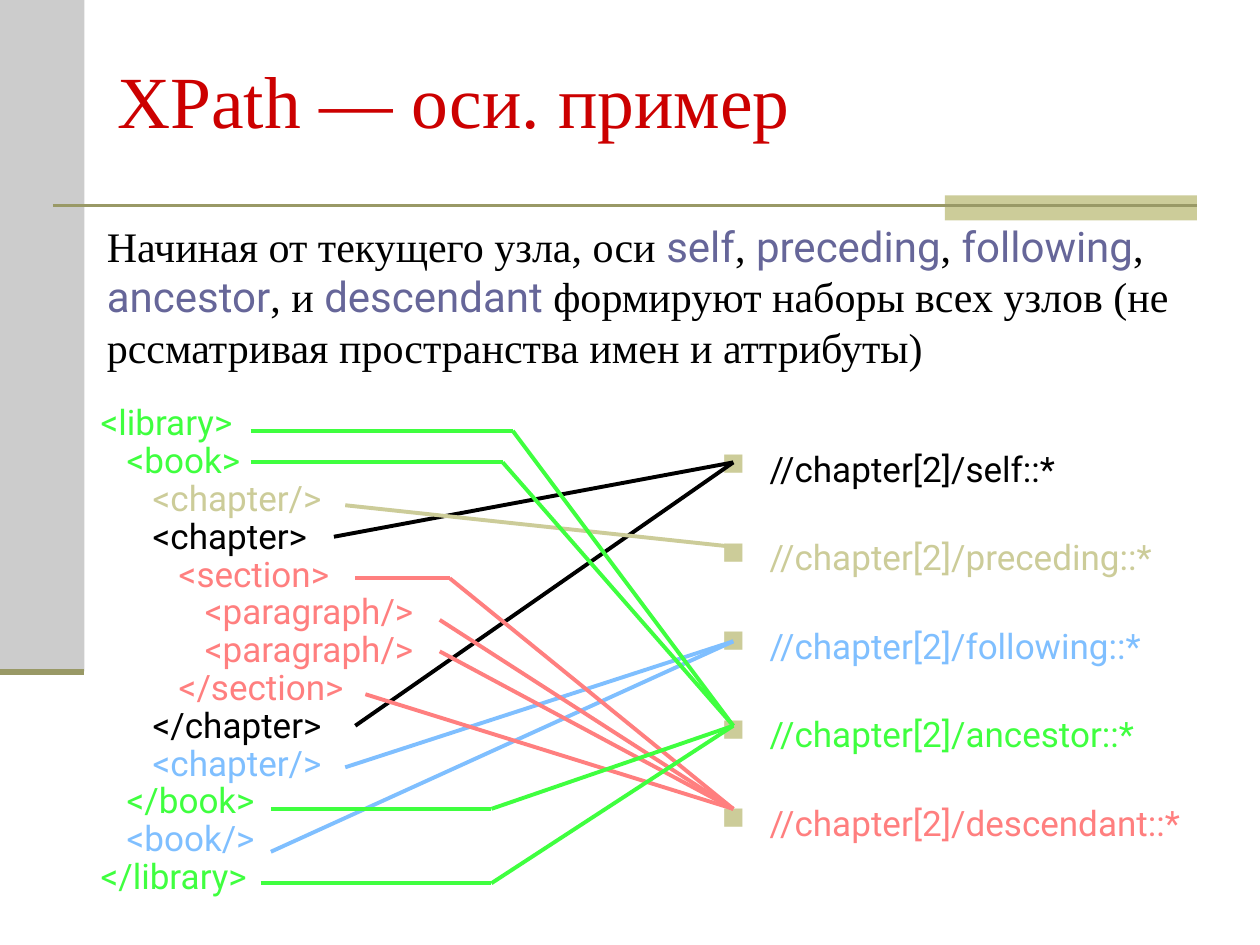
from itertools import pairwise

from lxml.etree import SubElement
from pptx import Presentation
from pptx.dml.color import RGBColor
from pptx.enum.shapes import MSO_CONNECTOR as Connector, MSO_SHAPE as Shape
from pptx.enum.text import MSO_ANCHOR as Anchor, MSO_AUTO_SIZE as AutoSize, PP_ALIGN as Align
from pptx.oxml.ns import qn
from pptx.util import Inches, Pt

RED = RGBColor(0xCC, 0x00, 0x00)
BLACK = RGBColor(0x00, 0x00, 0x00)
GRAY = RGBColor(0xCC, 0xCC, 0xCC)
SAND = RGBColor(0xCC, 0xCC, 0x99)
OLIVE = RGBColor(0x99, 0x99, 0x66)
VIOLET = RGBColor(0x66, 0x66, 0x99)
BLUE = RGBColor(0x7F, 0xBF, 0xFF)
GREEN = RGBColor(0x3F, 0xFF, 0x3F)
PINK = RGBColor(0xFF, 0x7F, 0x7F)
SERIF, SANS = "Times New Roman", "Roboto"

TITLE = "XPath — оси. пример"
INTRO = [
    ("Начиная от текущего узла, оси ", False), ("self", True), (", ", False),
    ("preceding", True), (", ", False), ("following", True), (", ", False),
    ("ancestor", True), (", и ", False), ("descendant ", True),
    ("формируют наборы всех узлов (не рссматривая пространства имен и аттрибуты)", False),
]
AXIS_COLORS = {"self": BLACK, "preceding": SAND, "following": BLUE,
               "ancestor": GREEN, "descendant": PINK}
DOCUMENT = [
    ("<library>", "ancestor"),
    ("   <book>", "ancestor"),
    ("      <chapter/>", "preceding"),
    ("      <chapter>", "self"),
    ("         <section>", "descendant"),
    ("            <paragraph/>", "descendant"),
    ("            <paragraph/>", "descendant"),
    ("         </section>", "descendant"),
    ("      </chapter>", "self"),
    ("      <chapter/>", "following"),
    ("   </book>", "ancestor"),
    ("   <book/>", "following"),
    ("</library>", "ancestor"),
]
TARGET_X = 5.82
LINKS = [
    ("self", 3.67, [[(2.65, 4.26)], [(2.82, 5.76)]]),
    ("preceding", 4.34, [[(2.74, 4.01)]]),
    ("following", 5.09, [[(2.74, 6.09)], [(2.15, 6.76)]]),
    ("descendant", 6.42, [[(2.9, 5.51)], [(3.49, 5.17)], [(3.49, 4.92)],
                          [(2.82, 4.59), (3.57, 4.59)]]),
    ("ancestor", 5.76, [[(1.99, 3.42), (4.07, 3.42)], [(1.99, 3.67), (3.99, 3.67)],
                        [(2.15, 6.42), (3.9, 6.42)], [(2.07, 7.01), (3.9, 7.01)]]),
]
BLOCKS = [((0, 0, 0.67, 5.33), GRAY), ((7.5, 1.55, 2, 0.2), SAND)]
RULES = [((0.42, 1.63), (9.5, 1.63), 1.5), ((0, 5.33), (0.67, 5.33), 3.5)]

deck = Presentation()
deck.slide_width, deck.slide_height = Inches(10), Inches(7.5)
slide = deck.slides.add_slide(deck.slide_layouts[5])


def add_block(box, color):
    block = slide.shapes.add_shape(Shape.RECTANGLE, *map(Inches, box))
    block.shadow.inherit = False
    block.fill.solid()
    block.fill.fore_color.rgb = color
    block.line.fill.background()


def add_line(start, end, color, width):
    line = slide.shapes.add_connector(Connector.STRAIGHT, *map(Inches, start + end))
    line.line.color.rgb = color
    line.line.width = Pt(width)
    SubElement(line._element.spPr, qn("a:effectLst"))


def add_text(*box):
    frame = slide.shapes.add_textbox(*map(Inches, box)).text_frame
    frame.word_wrap = True
    return frame


def add_run(paragraph, text, font, size, color):
    run = paragraph.add_run()
    run.text = text
    run.font.name, run.font.size = font, Pt(size)
    run.font.color.rgb = color


def indent(paragraph, bullet_color=None):
    props = paragraph._p.get_or_add_pPr()
    props.set("marL", str(Inches(0.38)))
    if bullet_color:
        props.set("indent", str(-Inches(0.38)))
        color = SubElement(props, qn("a:buClr"))
        SubElement(color, qn("a:srgbClr")).set("val", str(bullet_color))
        SubElement(props, qn("a:buSzPct")).set("val", "90000")
        SubElement(props, qn("a:buChar")).set("char", "■")


for box, color in BLOCKS:
    add_block(box, color)
for start, end, width in RULES:
    add_line(start, end, OLIVE, width)

title = slide.shapes.title
title.left, title.top, title.width, title.height = map(Inches, (0.83, 0.33, 8.5, 0.92))
title.text_frame.vertical_anchor = Anchor.MIDDLE
heading = title.text_frame.paragraphs[0]
heading.alignment = Align.LEFT
add_run(heading, TITLE, SERIF, 42, RED)

listing = add_text(0.32, 3.17, 3.5, 4.17).paragraphs[0]
indent(listing)
listing.line_spacing = 0.9
for row, (code, axis) in enumerate(DOCUMENT):
    if row:
        listing.add_line_break()
    add_run(listing, code, SANS, 20, AXIS_COLORS[axis])

queries = add_text(5.63, 3.2, 4.17, 4.17)
for row, (axis, color) in enumerate(AXIS_COLORS.items()):
    query = queries.add_paragraph() if row else queries.paragraphs[0]
    indent(query, SAND)
    query.line_spacing = 1.9
    if row:
        query.space_before = Pt(5)
    add_run(query, f"//chapter[2]/{axis}::*", SANS, 20, color)

intro_frame = add_text(0.75, 1.7, 9, 1.3)
intro_frame.auto_size = AutoSize.SHAPE_TO_FIT_TEXT
for text, is_axis in INTRO:
    add_run(intro_frame.paragraphs[0], text, SANS if is_axis else SERIF, 24,
            VIOLET if is_axis else BLACK)

for axis, target_y, routes in LINKS:
    for route in routes:
        for start, end in pairwise(route + [(TARGET_X, target_y)]):
            add_line(start, end, AXIS_COLORS[axis], 2.25)

deck.save("out.pptx")
